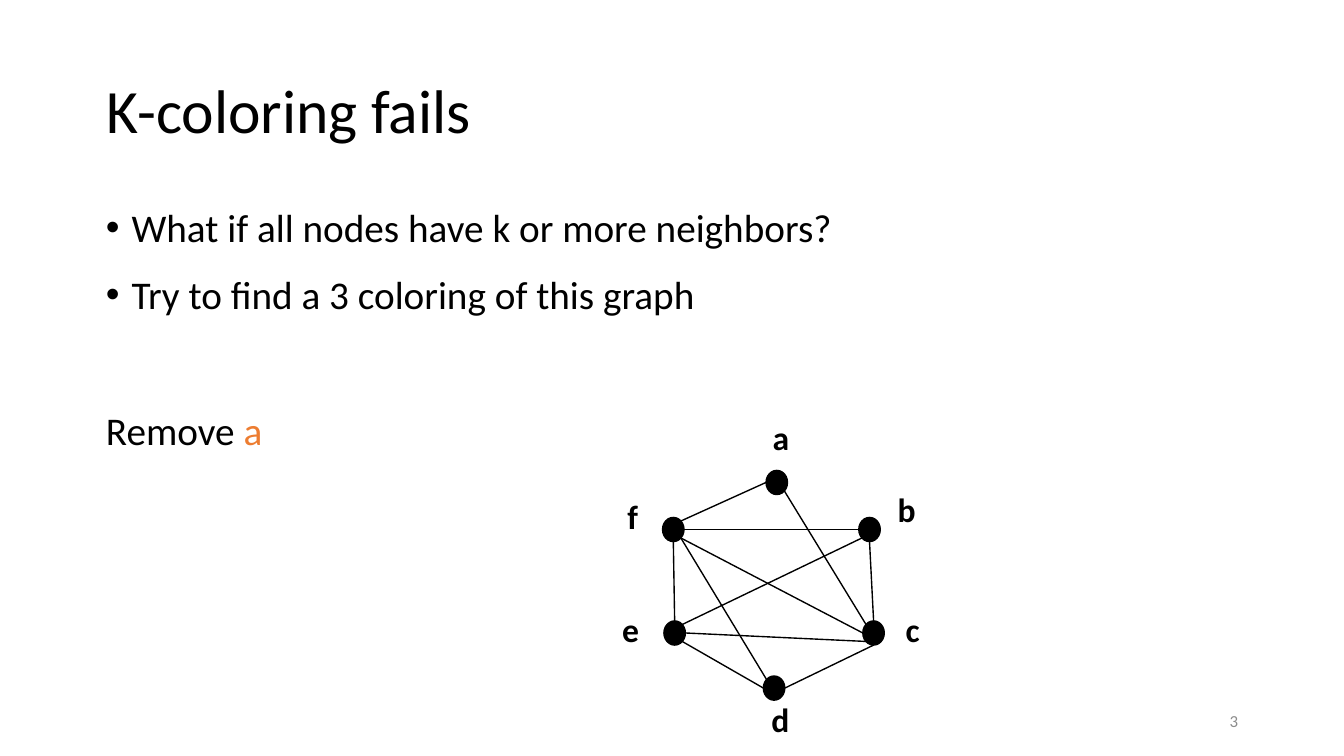
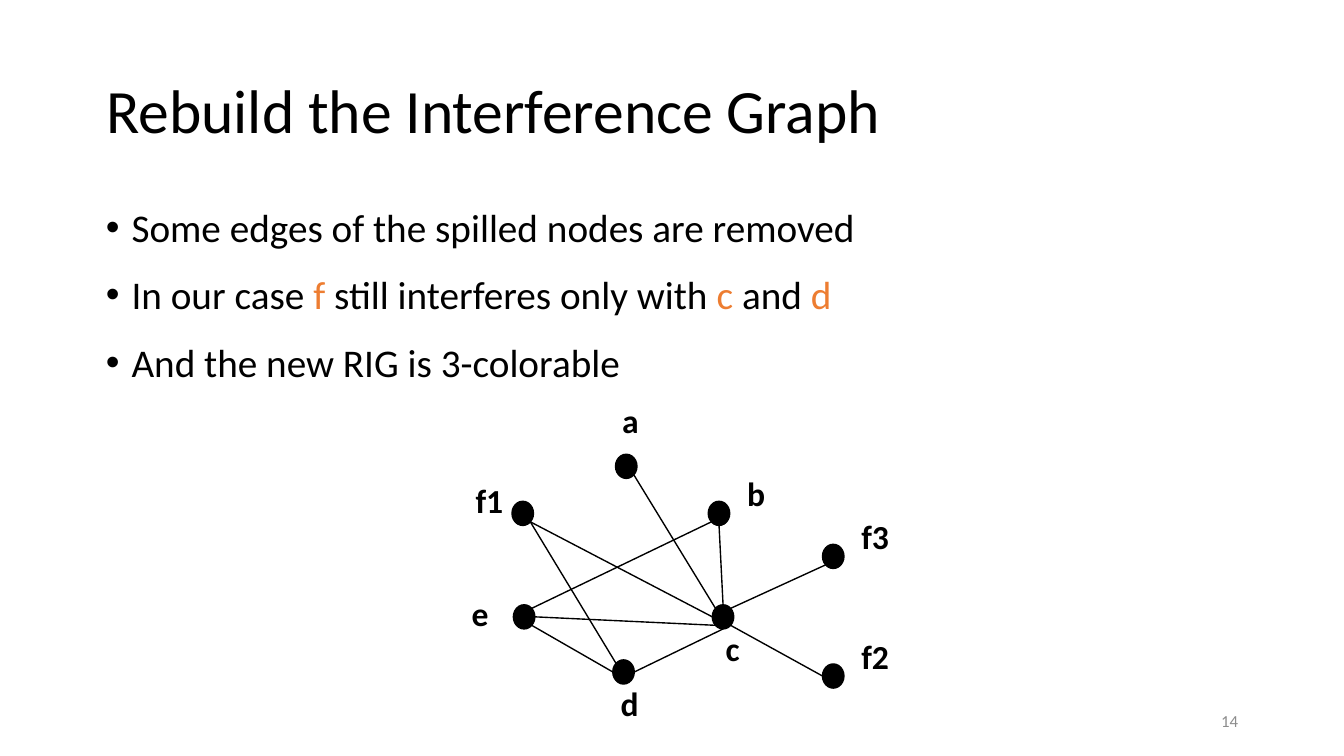
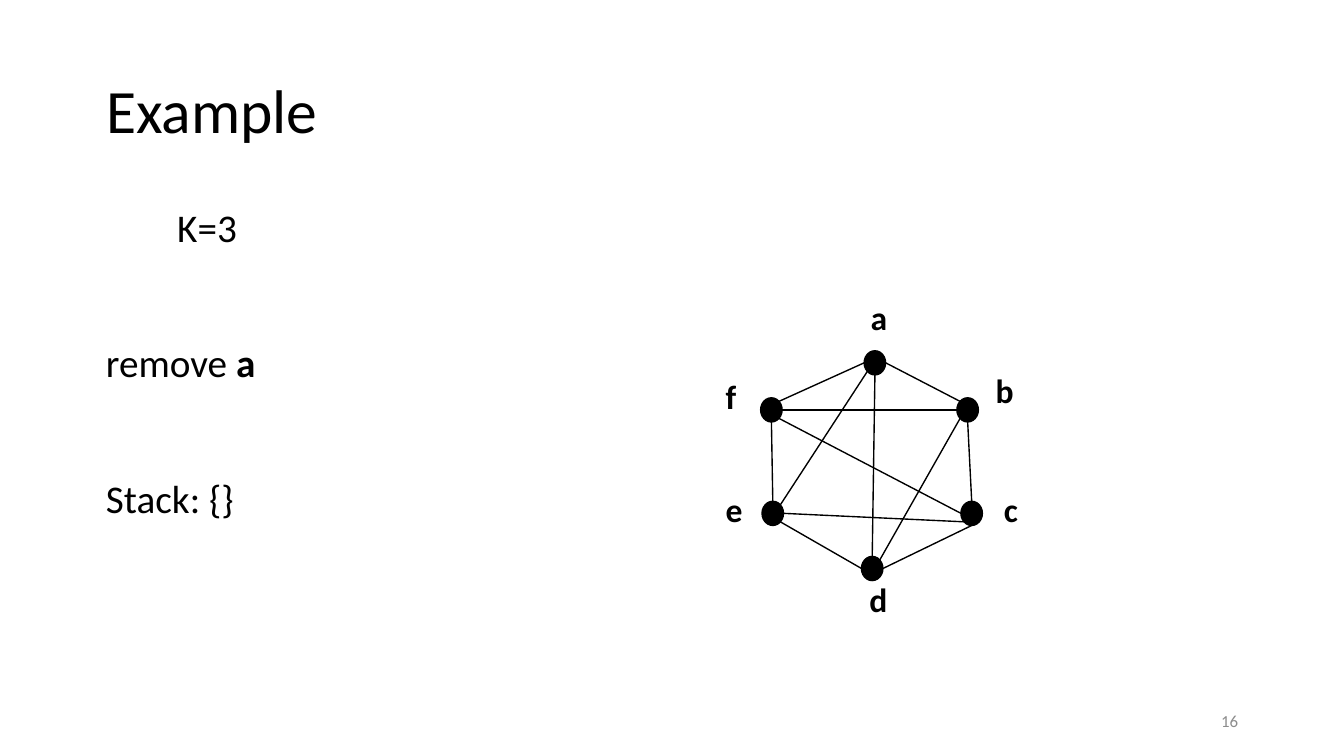
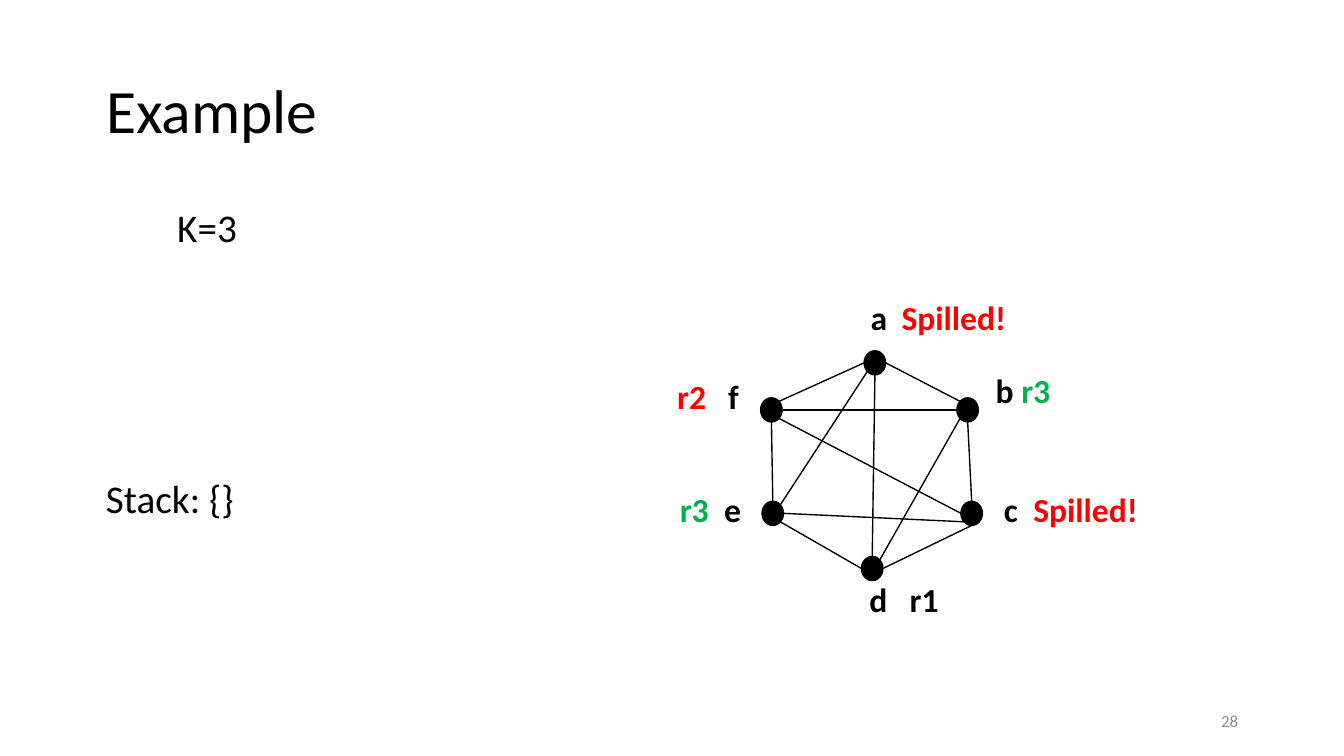
from lxml import etree
from pptx import Presentation
from pptx.dml.color import RGBColor
from pptx.enum.shapes import MSO_CONNECTOR, MSO_SHAPE
from pptx.enum.text import MSO_ANCHOR, PP_ALIGN
from pptx.oxml.ns import qn
from pptx.util import Inches, Pt

BLACK = RGBColor(0x00, 0x00, 0x00)
ORANGE = RGBColor(0xED, 0x7D, 0x31)
RED = RGBColor(0xFF, 0x00, 0x00)
GREEN = RGBColor(0x00, 0xB0, 0x50)
GRAY = RGBColor(0x8C, 0x8C, 0x8C)
FONT = "Calibri"

WIDTH = 10
HEIGHT = WIDTH * 9 / 16
MARGIN = 0.69
CONTENT_WIDTH = WIDTH - 2 * MARGIN
BODY_PITCH = 36.5  # points from one body line to the next
BULLET_INDENT = 0.19
NODE_W, NODE_H = 0.16, 0.18
LABEL_W, WIDE_LABEL_W, LABEL_H = 0.75, 1.29, 0.4

# Node corners, measured from the corner of node f
NODES = {
    "a": (0.77, -0.35), "b": (1.46, 0), "c": (1.49, 0.77),
    "d": (0.75, 1.18), "e": (0.01, 0.77), "f": (0, 0),
    "f1": (0, 0), "f2": (2.31, 1.21), "f3": (2.31, 0.32),
}
# Label corners, measured from the corner of their node
LABEL_OFFSETS = {
    "a": (-0.05, -0.45), "b": (0.19, -0.26), "c": (0.22, -0.14),
    "d": (-0.04, 0.12), "e": (-0.41, -0.14), "f": (-0.36, -0.21),
    "f1": (-0.37, -0.21), "f2": (0.19, -0.26), "f3": (0.19, -0.26),
}
# Where an edge meets a node, as shares of the node's width and height
PORTS = {
    "N": (0.5, 0), "NE": (0.85, 0.15), "E": (1, 0.5), "SE": (0.85, 0.85),
    "S": (0.5, 1), "SW": (0.15, 0.85), "W": (0, 0.5), "NW": (0.15, 0.15),
}

COMMON_EDGES = ["d W e SE", "b S c N", "c SW e E", "c S d E"]
FAILING_EDGES = COMMON_EDGES + [
    "a W f NE", "e N f S", "d NW f SE", "a SE c NW", "b W f E", "c W f SE",
    "b SW e NE"]
REBUILT_EDGES = COMMON_EDGES + [
    "d NW f1 SE", "a SE c NW", "c W f1 SE", "b SW e NE", "f3 SW c NE",
    "f2 W c SE"]
EXAMPLE_EDGES = COMMON_EDGES + [
    "e N f S", "b W f E", "b SW d NE", "c W f SE", "a W f NE", "a E b NW",
    "a SW e NE", "a S d N"]

# Body lines: kind, blank lines above, spans of (text, colour, bold)
# Registers: spans, tab stop, label width
PAGES = [
    {"title": "K-coloring fails", "number": 3,
     "body": [
         ("bullet", 0, [("What if all nodes have k or more neighbors?",)]),
         ("bullet", 0, [("Try to find a 3 coloring of this graph",)]),
         ("plain", 1, [("Remove ",), ("a", ORANGE)])],
     "nodes": "a b c d f e", "origin": (4.93, 3.85), "edges": FAILING_EDGES},
    {"title": "Rebuild the Interference Graph", "number": 14,
     "body": [
         ("bullet", 0, [("Some edges of the spilled nodes are removed",)]),
         ("bullet", 0, [("In our case ",), ("f", ORANGE),
                        (" still interferes only with ",), ("c", ORANGE),
                        (" and ",), ("d", ORANGE)]),
         ("bullet", 0, [("And the new RIG is 3-colorable",)])],
     "nodes": "a b c d f1 e f3 f2", "origin": (3.81, 3.73),
     "edges": REBUILT_EDGES, "moved": {"c": (0, 0.12)}},
    {"title": "Example", "number": 16,
     "body": [
         ("indented", 0, [("K=3",)]),
         ("plain", 1, [("remove ",), ("a", BLACK, True)]),
         ("plain", 1, [("Stack: {}",)])],
     "nodes": "e f b c d a", "origin": (5.66, 2.96), "edges": EXAMPLE_EDGES,
     "moved": {"e": (-0.37, -0.14)}},
    {"title": "Example", "number": 28,
     "body": [
         ("indented", 0, [("K=3",)]),
         ("plain", 3, [("Stack: {}",)])],
     "nodes": "d f e b c a", "origin": (5.66, 2.96), "edges": EXAMPLE_EDGES,
     "moved": {"e": (-0.71, -0.14), "f": (-0.72, -0.21)},
     "registers": {
         "a": ([("a\t",), ("Spilled!", RED)], 0.23, WIDE_LABEL_W),
         "b": ([("b ",), ("r3", GREEN)], None, LABEL_W),
         "c": ([("c\t",), ("Spilled!", RED)], 0.22, WIDE_LABEL_W),
         "d": ([("d\t",), ("r1",)], 0.3, LABEL_W),
         "e": ([("r3\t", GREEN), ("e",)], 0.33, LABEL_W),
         "f": ([("r2\t", RED), ("f",)], 0.38, LABEL_W)}},
]


def add_runs(para, size, spans, all_bold=False):
    """Add one run per span: a text, then optionally its colour and boldness."""
    for text, *style in spans:
        run = para.add_run()
        run.text = text
        run.font.name = FONT
        run.font.size = Pt(size)
        run.font.color.rgb = style[0] if style else BLACK
        run.font.bold = all_bold or len(style) > 1 and style[1]


def add_box(shapes, left, top, width, height):
    box = shapes.add_textbox(*map(Inches, (left, top, width, height)))
    box.text_frame.word_wrap = True
    return box.text_frame


deck = Presentation()
deck.slide_width, deck.slide_height = Inches(WIDTH), Inches(HEIGHT)
title_only = deck.slide_layouts[5]

for content in PAGES:
    page = deck.slides.add_slide(title_only)

    # Title
    title = page.shapes.title
    title.left, title.top = Inches(MARGIN), Inches(0.3)
    title.width, title.height = Inches(CONTENT_WIDTH), Inches(1.09)
    title.text_frame.vertical_anchor = MSO_ANCHOR.MIDDLE
    para = title.text_frame.paragraphs[0]
    para.alignment = PP_ALIGN.LEFT
    para.line_spacing = 0.9
    add_runs(para, 33, [(content["title"],)])

    # Body
    frame = add_box(page.shapes, MARGIN, 1.5, CONTENT_WIDTH, 3.57)
    for index, (kind, blank_lines, spans) in enumerate(content["body"]):
        para = frame.add_paragraph() if index else frame.paragraphs[0]
        para.line_spacing = 0.9
        para.space_before = Pt(7.5 + blank_lines * BODY_PITCH if index else 0)
        para.space_after = Pt(6)
        props = para._p.get_or_add_pPr()
        if kind == "bullet":
            props.set("marL", str(Inches(BULLET_INDENT)))
            props.set("indent", str(-Inches(BULLET_INDENT)))
            etree.SubElement(props, qn("a:buFont"), typeface="Arial")
            etree.SubElement(props, qn("a:buChar"), char="•")
        elif kind == "indented":
            props.set("marL", str(Inches(0.53)))
        add_runs(para, 21, spans)

    # Slide number
    frame = add_box(page.shapes, 7.06, 5.21, 2.25, 0.3)
    frame.vertical_anchor = MSO_ANCHOR.MIDDLE
    para = frame.paragraphs[0]
    para.alignment = PP_ALIGN.RIGHT
    add_runs(para, 9, [(str(content["number"]), GRAY)])

    # Graph nodes, each grouped with its label
    origin_x, origin_y = content["origin"]
    corners = {name: (origin_x + NODES[name][0], origin_y + NODES[name][1])
               for name in content["nodes"].split()}
    label_offsets = LABEL_OFFSETS | content.get("moved", {})
    for name, (left, top) in corners.items():
        group = page.shapes.add_group_shape()
        node = group.shapes.add_shape(
            MSO_SHAPE.OVAL, *map(Inches, (left, top, NODE_W, NODE_H)))
        node.shadow.inherit = False
        node.fill.solid()
        node.fill.fore_color.rgb = BLACK
        node.line.color.rgb = BLACK
        node.line.width = Pt(0.75)

        spans, tab, label_width = content.get("registers", {}).get(
            name, ([(name,)], None, LABEL_W))
        dx, dy = label_offsets[name]
        frame = add_box(group.shapes, left + dx, top + dy, label_width, LABEL_H)
        para = frame.paragraphs[0]
        if tab:
            tabs = etree.SubElement(para._p.get_or_add_pPr(), qn("a:tabLst"))
            etree.SubElement(tabs, qn("a:tab"), pos=str(Inches(tab)), algn="l")
        add_runs(para, 18, spans, all_bold=True)

    # Graph edges
    for edge in content["edges"]:
        start, start_port, end, end_port = edge.split()
        points = []
        for name, port in ((start, start_port), (end, end_port)):
            points += [corners[name][0] + PORTS[port][0] * NODE_W,
                       corners[name][1] + PORTS[port][1] * NODE_H]
        line = page.shapes.add_connector(
            MSO_CONNECTOR.STRAIGHT, *map(Inches, points))
        line.line.color.rgb = BLACK
        line.line.width = Pt(0.75)
        etree.SubElement(line._element.spPr, qn("a:effectLst"))

deck.save("out.pptx")
